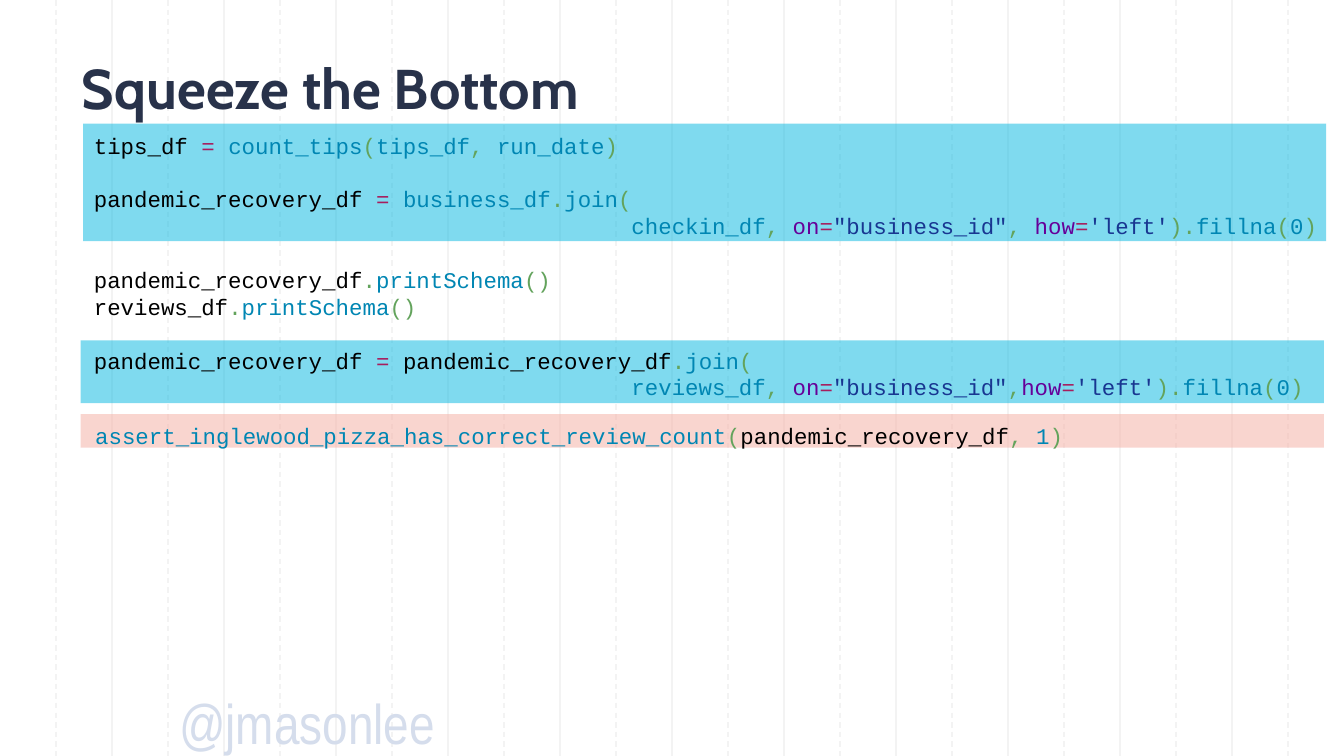
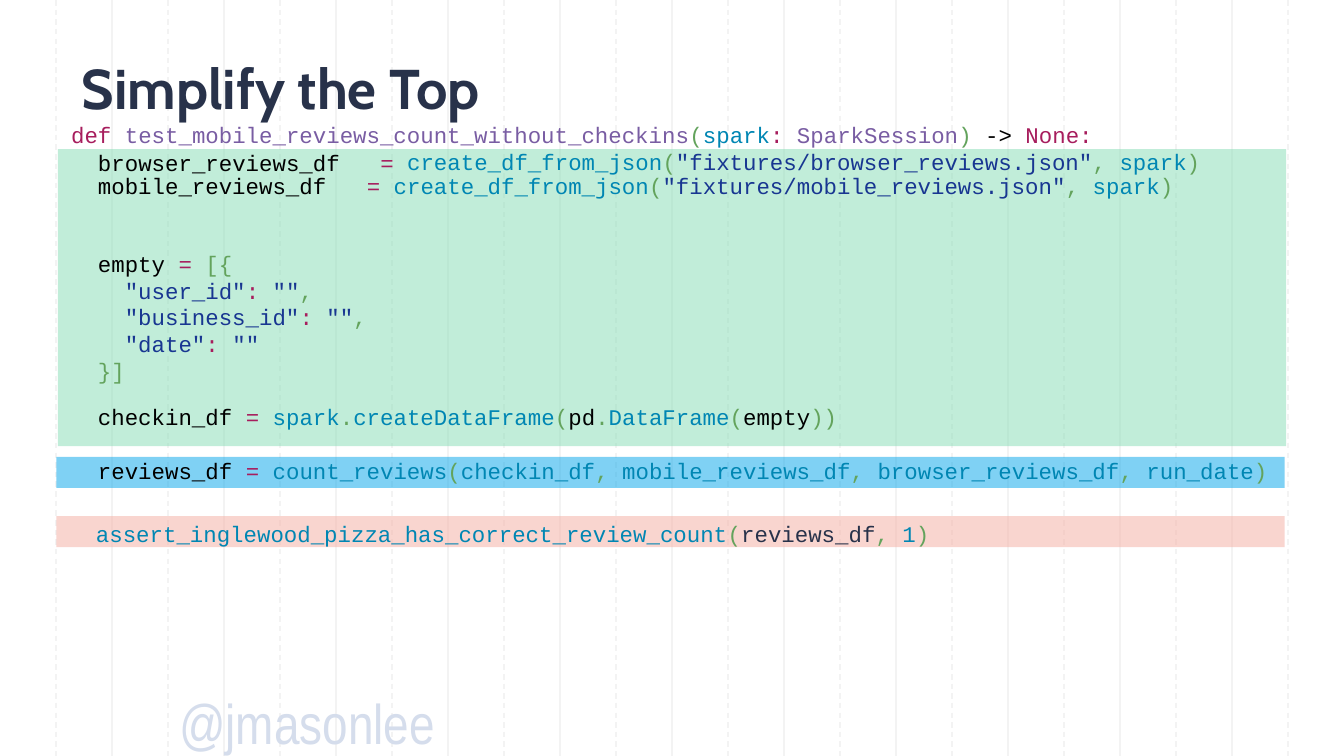
"""Builds two slides of highlighted code on a ruled background."""
import pptx
import pptx.dml.color
import pptx.enum.dml
import pptx.enum.shapes
import pptx.enum.text
import pptx.oxml
import pptx.oxml.ns
import pptx.util

Pt = pptx.util.Pt
RGBColor = pptx.dml.color.RGBColor

THEME = {
    "colors": {
        "title": "28324A", "footer": "D5DDEC", "grid": "F3F3F3",
        "plain": "000000", "operator": "A71D5D", "call": "0086B3",
        "mark": "63A35C", "keyword": "660099", "string": "183691",
        "entity": "795DA3",
        "assert band": "F5ACA1", "join band": "00B6E0",
        "count band": "00A4EA", "setup band": "85DDB5",
    },
    "title": {"name": "Cabin", "size": Pt(30), "bold": True},
    "footer": {"name": "Arial Narrow", "size": Pt(30), "bold": False},
    "code": {"name": "Courier New", "size": Pt(12), "bold": False},
    "code line": 14.4,
    "band opacity": 50,
}
FLUSH = {"margin_left": 0, "margin_right": 0, "margin_top": 0, "margin_bottom": 0}


def color_of(name):
    """Returns a theme colour."""
    return RGBColor.from_string(THEME["colors"][name])


def add_text(slide, box, lines, style="code", frame_format=None, line_spacing=Pt(THEME["code line"])):
    """Adds lines given as (blank lines above, left indent, coloured tokens)."""
    frame = slide.shapes.add_textbox(*map(Pt, box)).text_frame
    for attribute, value in {"word_wrap": True, **(frame_format or {})}.items():
        setattr(frame, attribute, value)
    for number, (gap, indent, tokens) in enumerate(lines):
        paragraph = frame.add_paragraph() if number else frame.paragraphs[0]
        paragraph.line_spacing = line_spacing
        if gap:
            paragraph.space_before = Pt(gap * THEME["code line"])
        if indent:
            paragraph._p.get_or_add_pPr().set("marL", str(Pt(indent)))
        for color, text in tokens:
            run = paragraph.add_run()
            run.text = text
            for attribute, value in THEME[style].items():
                setattr(run.font, attribute, value)
            run.font.color.rgb = color_of(color)


join_arguments = {
    frame_name: [
        ("call", frame_name), ("mark", ", "), ("keyword", "on"), ("operator", "="),
        ("string", '"business_id"'), ("mark", comma), ("keyword", "how"),
        ("operator", "="), ("string", "'left'"), ("mark", ")."), ("call", "fillna"),
        ("mark", "("), ("call", "0"), ("mark", ")"),
    ]
    for frame_name, comma in (("checkin_df", ", "), ("reviews_df", ","))
}
print_schema = {
    frame_name: [("plain", frame_name), ("mark", "."), ("call", "printSchema"), ("mark", "()")]
    for frame_name in ("pandemic_recovery_df", "reviews_df")
}
assert_count = {
    frame_name: [
        ("call", "assert_inglewood_pizza_has_correct_review_count"), ("mark", "("),
        (color, frame_name), ("mark", ", "), ("call", "1"), ("mark", ")"),
    ]
    for frame_name, color in (("pandemic_recovery_df", "plain"), ("reviews_df", "title"))
}
load_fixture = {
    source: [
        ("call", "create_df_from_json"), ("mark", "("),
        ("string", f'"fixtures/{source}_reviews.json"'), ("mark", ", "),
        ("call", "spark"), ("mark", ")"),
    ]
    for source in ("browser", "mobile")
}
join_start = {
    frame_name: [
        ("plain", "pandemic_recovery_df "), ("operator", "= "), (color, frame_name),
        ("mark", "."), ("call", "join"), ("mark", "("),
    ]
    for frame_name, color in (("business_df", "call"), ("pandemic_recovery_df", "plain"))
}

slides = [
    {
        "title": "Squeeze the Bottom",
        "bands": [
            ("assert band", (43.2, 221.8, 666, 18)),
            ("join band", (43.2, 182.4, 666, 33.6)),
            ("join band", (44.5, 66.2, 666, 63)),
        ],
        "code": [
            ((43.9, 222.5, 579.6, 21.6), [(0, 0, assert_count["pandemic_recovery_df"])]),
            ((43.2, 67, 689.8, 167), [
                (0, 0, [
                    ("plain", "tips_df "), ("operator", "= "), ("call", "count_tips"),
                    ("mark", "("), ("call", "tips_df"), ("mark", ", "),
                    ("call", "run_date"), ("mark", ")"),
                ]),
                (1, 0, join_start["business_df"]),
                (0, 288, join_arguments["checkin_df"]),
                (1, 0, print_schema["pandemic_recovery_df"]),
                (0, 0, print_schema["reviews_df"]),
                (1, 0, join_start["pandemic_recovery_df"]),
                (0, 288, join_arguments["reviews_df"]),
            ]),
        ],
    },
    {
        "title": "Simplify the Top",
        "bands": [
            ("assert band", (30.2, 276.5, 658, 16.6)),
            ("count band", (30.2, 244.8, 658, 16.6)),
            ("setup band", (31, 79.9, 658, 159.1)),
        ],
        "code": [
            ((31, 61.2, 663.8, 21.6), [(0, 0, [
                ("operator", "def "), ("entity", "test_mobile_reviews_count_without_checkins"),
                ("mark", "("), ("call", "spark"), ("operator", ": "),
                ("entity", "SparkSession"), ("mark", ") "), ("plain", "-> "),
                ("operator", "None:"),
            ])]),
            ((44.3, 275, 579.6, 21.6), [(0, 0, assert_count["reviews_df"])]),
            ((45.4, 212.4, 643.7, 65.5), [
                (0, 0, [
                    ("plain", "checkin_df "), ("operator", "= "), ("call", "spark"),
                    ("mark", "."), ("call", "createDataFrame"), ("mark", "("),
                    ("plain", "pd"), ("mark", "."), ("call", "DataFrame"), ("mark", "("),
                    ("plain", "empty"), ("mark", "))"),
                ]),
                (1, 0, [
                    ("plain", "reviews_df "), ("operator", "= "), ("call", "count_reviews"),
                    ("mark", "("), ("call", "checkin_df"), ("mark", ", "),
                    ("call", "mobile_reviews_df"), ("mark", ", "),
                    ("call", "browser_reviews_df"), ("mark", ", "),
                    ("call", "run_date"), ("mark", ")"),
                ]),
            ]),
            ((45.4, 88.6, 600.5, 21.6), [(0, 0, [
                ("plain", "mobile_reviews_df   "), ("operator", "= "), *load_fixture["mobile"],
            ])]),
            ((45.4, 130.3, 360, 79.9), [
                (0, 0, [("plain", "empty "), ("operator", "= "), ("mark", "[{")]),
                *[
                    (0, 0, [
                        ("string", f'  "{field}"'), ("operator", ": "),
                        ("string", '""'), ("mark", ending),
                    ])
                    for field, ending in (("user_id", ","), ("business_id", ","), ("date", ""))
                ],
                (0, 0, [("mark", "}]")]),
            ]),
            ((211, 75.6, 459.4, 21.6), [(0, 0, load_fixture["browser"])]),
            ((45.4, 76.3, 504.7, 21.6), [(0, 0, [
                ("plain", "browser_reviews_df   "), ("operator", "="),
            ])]),
        ],
    },
]

presentation = pptx.Presentation()
presentation.slide_width = Pt(720)
presentation.slide_height = Pt(405)

for content in slides:
    slide = presentation.slides.add_slide(presentation.slide_layouts[6])

    for column in range(1, 24):
        x = Pt(30 * column)
        rule = slide.shapes.add_connector(
            pptx.enum.shapes.MSO_CONNECTOR.STRAIGHT, x, 0, x, presentation.slide_height)
        rule.line.color.rgb = color_of("grid")
        rule.line.width = Pt(0.75)
        if column % 2:
            rule.line.dash_style = pptx.enum.dml.MSO_LINE.DASH
        rule._element.spPr.append(pptx.oxml.parse_xml(
            f"<a:effectLst {pptx.oxml.ns.nsdecls('a')}/>"))

    add_text(slide, (96, 369, 180, 35), [(0, 0, [("footer", "@jmasonlee")])],
             "footer", FLUSH, 1.0)

    for color, box in content["bands"]:
        band = slide.shapes.add_shape(
            pptx.enum.shapes.MSO_SHAPE.RECTANGLE, *map(Pt, box))
        band.shadow.inherit = False
        band.line.fill.background()
        band.fill.solid()
        band.fill.fore_color.rgb = color_of(color)
        band._element.spPr.find(".//" + pptx.oxml.ns.qn("a:srgbClr")).append(
            pptx.oxml.parse_xml(
                f"<a:alpha {pptx.oxml.ns.nsdecls('a')} val=\"{THEME['band opacity'] * 1000}\"/>"))

    add_text(slide, (43.9, 31.7, 630, 34.6), [(0, 0, [("title", content["title"])])], "title",
             {**FLUSH, "vertical_anchor": pptx.enum.text.MSO_ANCHOR.MIDDLE}, 0.9)

    for box, lines in content["code"]:
        add_text(slide, box, lines)

presentation.save("out.pptx")
